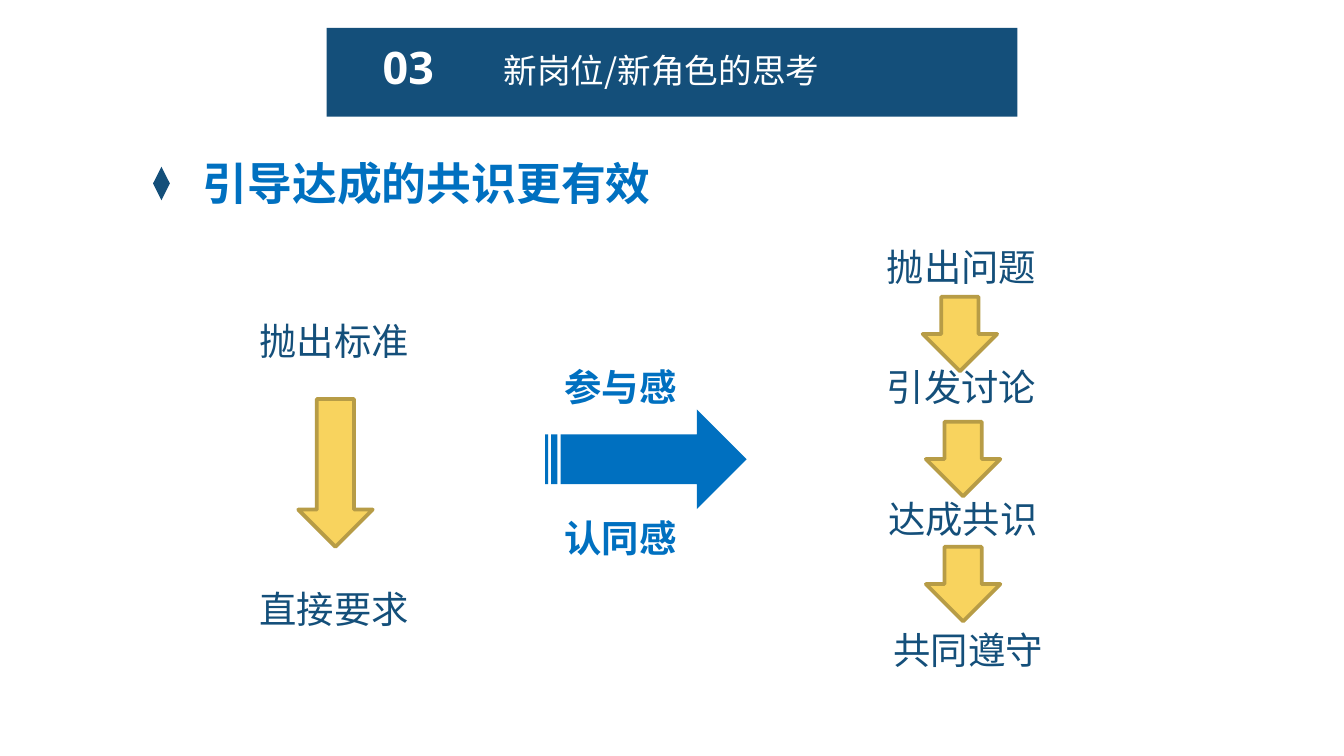
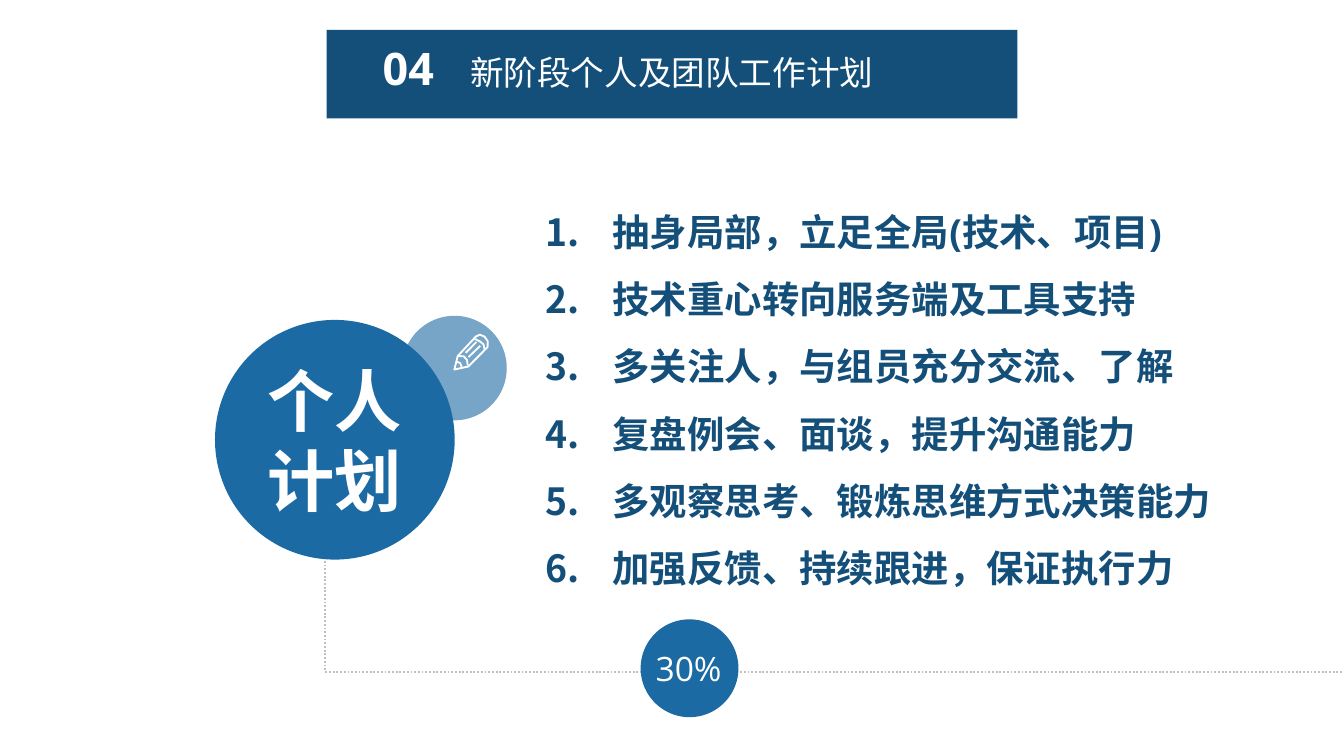
from dataclasses import dataclass

from lxml import etree
from pptx import Presentation
from pptx.dml.color import RGBColor
from pptx.enum.dml import MSO_LINE
from pptx.enum.shapes import MSO_CONNECTOR, MSO_SHAPE
from pptx.enum.text import MSO_ANCHOR, MSO_AUTO_SIZE, PP_ALIGN
from pptx.oxml.ns import qn
from pptx.util import Pt


@dataclass(frozen=True)
class Theme:
    navy: str = "144F7A"
    blue: str = "0070C0"
    disc: str = "1B6AA3"
    gold: str = "F8D35E"
    gold_edge: str = "B79C46"
    grey: str = "BFBFBF"
    white: str = "FFFFFF"
    cjk: str = "Noto Sans CJK SC"
    latin: str = "Open Sans"
    accent: str = "Calibri"
    small: int = 18
    body: int = 20
    heading: int = 24
    display: int = 36


theme = Theme()


def add_figure(slide, preset, box, fill, edge=None):
    """Add a flat preset shape; box is left, top, width, height in points."""
    figure = slide.shapes.add_shape(preset, *map(Pt, box))
    figure.shadow.inherit = False
    figure.fill.solid()
    figure.fill.fore_color.rgb = RGBColor.from_string(fill)
    if edge:
        figure.line.color.rgb = RGBColor.from_string(edge)
        figure.line.width = Pt(2)
    else:
        figure.line.fill.background()
    return figure


def write(holder, text, size, color, font, bold=False, align=PP_ALIGN.LEFT, wrap=False):
    """Put text into a box or shape and format every run of it."""
    frame = holder.text_frame
    frame.text = text
    frame.word_wrap = wrap
    for paragraph in frame.paragraphs:
        paragraph.alignment = align
        for run in paragraph.runs:
            run.font.size = Pt(size)
            run.font.bold = bold
            run.font.color.rgb = RGBColor.from_string(color)
            run.font.name = font
            east_asian = etree.SubElement(run.font._element, qn("a:ea"))
            east_asian.set("typeface", theme.cjk)
    return frame


deck = Presentation()
deck.slide_width, deck.slide_height = Pt(720), Pt(405)

# Shared header band: number, title, band top, title left, title width
headers = [
    ("03", "新岗位/新角色的思考", 15, 262.8, 194.4),
    ("04", "新阶段个人及团队工作计划", 16, 244.8, 230.4),
]
slides = []
for number, title, top, title_left, title_width in headers:
    slide = deck.slides.add_slide(deck.slide_layouts[6])
    add_figure(slide, MSO_SHAPE.RECTANGLE, (175, top, 370, 47.5), theme.navy)
    number_box = slide.shapes.add_textbox(Pt(174.5), Pt(top + 2.5), Pt(88.5), Pt(36))
    write(number_box, number, theme.heading, theme.white, theme.latin,
          bold=True, align=PP_ALIGN.CENTER, wrap=True)
    title_box = slide.shapes.add_textbox(
        Pt(title_left), Pt(top + 8.3), Pt(title_width), Pt(29))
    write(title_box, title, theme.small, theme.white, theme.cjk, wrap=True)
    slides.append(slide)
consensus, plan = slides

# Slide 1: telling people a standard versus guiding them to consensus
add_figure(consensus, MSO_SHAPE.FLOWCHART_SORT, (82, 89.3, 9, 18), theme.navy)
heading_box = consensus.shapes.add_textbox(Pt(101.5), Pt(80), Pt(258.5), Pt(36))
write(heading_box, "引导达成的共识更有效", theme.heading, theme.blue, theme.accent, bold=True)

steps = [
    ("抛出标准", 131.8, 167),
    ("直接要求", 131.8, 310.3),
    ("抛出问题", 468, 127.4),
    ("引发讨论", 468, 191.5),
    ("达成共识", 468.7, 262.1),
    ("共同遵守", 471.6, 332.6),
]
for step, left, top in steps:
    step_box = consensus.shapes.add_textbox(Pt(left), Pt(top), Pt(95), Pt(31.5))
    write(step_box, step, theme.body, theme.navy, theme.cjk)

for left, top, height in [(159.8, 213.8, 79.2), (494.3, 159, 39.9),
                          (496, 226, 39.9), (496, 293, 39.9)]:
    add_figure(consensus, MSO_SHAPE.DOWN_ARROW, (left, top, 39.9, height),
               theme.gold, theme.gold_edge)

add_figure(consensus, MSO_SHAPE.STRIPED_RIGHT_ARROW, (292, 219.4, 108, 53.4), theme.blue)
for feeling, top in [("参与感", 191.5), ("认同感", 272.2)]:
    feeling_box = consensus.shapes.add_textbox(Pt(295.2), Pt(top), Pt(75.6), Pt(31.5))
    write(feeling_box, feeling, theme.body, theme.blue, theme.accent, bold=True)

# Slide 2: personal plan with its timeline
corner = (174.3, 360)
for start, end in [((174.3, 286.6), corner), (corner, (720, 360))]:
    timeline = plan.shapes.add_connector(MSO_CONNECTOR.STRAIGHT, *map(Pt, start + end))
    timeline.line.color.rgb = RGBColor.from_string(theme.grey)
    timeline.line.width = Pt(1)
    timeline.line.dash_style = MSO_LINE.ROUND_DOT
    etree.SubElement(timeline._element.spPr, qn("a:effectLst"))

icon_disc = add_figure(plan, MSO_SHAPE.OVAL, (215.5, 169.2, 56, 56), theme.disc)
disc_color = icon_disc._element.spPr.find(qn("a:solidFill"))[0]
etree.SubElement(disc_color, qn("a:alpha")).set("val", "60000")

plan_disc = add_figure(plan, MSO_SHAPE.OVAL, (115.2, 171.4, 128.4, 128.4), theme.disc)
plan_frame = write(plan_disc, "个人\n计划", theme.display, theme.white, theme.accent,
                   bold=True, align=PP_ALIGN.CENTER, wrap=True)
plan_frame.vertical_anchor = MSO_ANCHOR.MIDDLE

goals = [
    "抽身局部，立足全局(技术、项目)",
    "技术重心转向服务端及工具支持",
    "多关注人，与组员充分交流、了解",
    "复盘例会、面谈，提升沟通能力",
    "多观察思考、锻炼思维方式决策能力",
    "加强反馈、持续跟进，保证执行力",
]
goals_box = plan.shapes.add_textbox(Pt(285.1), Pt(96.5), Pt(381), Pt(334))
goals_frame = write(goals_box, "\n".join(goals), theme.body, theme.navy, theme.latin,
                    bold=True, wrap=True)
goals_frame.auto_size = MSO_AUTO_SIZE.SHAPE_TO_FIT_TEXT
for goal in goals_frame.paragraphs:
    goal.line_spacing = 1.5
    properties = goal._element.get_or_add_pPr()
    properties.set("marL", str(Pt(36)))
    properties.set("indent", str(Pt(-36)))
    bullet_font = etree.SubElement(properties, qn("a:buFont"))
    bullet_font.set("typeface", "+mj-lt")
    etree.SubElement(properties, qn("a:buAutoNum")).set("type", "arabicPeriod")

# Pencil strokes: outline, two collars, two grooves, tip
pencil_strokes = [
    [(243.4, 198), (245.2, 190.8), (254.9, 180.4), (257, 179.3), (259.6, 180.4),
     (261.3, 182.9), (261.2, 186), (250.9, 196.4), (243.4, 198)],
    [(254.2, 181.5), (257.2, 183), (259, 184.5), (259.6, 187.2)],
    [(245.5, 190.8), (248.4, 190.9), (250.2, 192.8), (250.6, 195.8)],
    [(249.5, 189), (255.2, 183.2)],
    [(251, 191.3), (257.3, 185.3)],
    [(244.5, 193.7), (246.6, 194.6), (247.4, 196.6)],
]
for first, *others in pencil_strokes:
    builder = plan.shapes.build_freeform(Pt(first[0]), Pt(first[1]))
    builder.add_line_segments([(Pt(x), Pt(y)) for x, y in others], close=False)
    stroke = builder.convert_to_shape()
    stroke.shadow.inherit = False
    stroke.fill.background()
    stroke.line.color.rgb = RGBColor.from_string(theme.white)
    stroke.line.width = Pt(1)

add_figure(plan, MSO_SHAPE.OVAL, (343.2, 331.8, 52.4, 52.4), theme.disc)
share_box = plan.shapes.add_textbox(Pt(342.7), Pt(343.4), Pt(51), Pt(29))
write(share_box, "30%", theme.small, theme.white, theme.latin, align=PP_ALIGN.RIGHT)

deck.save("out.pptx")
